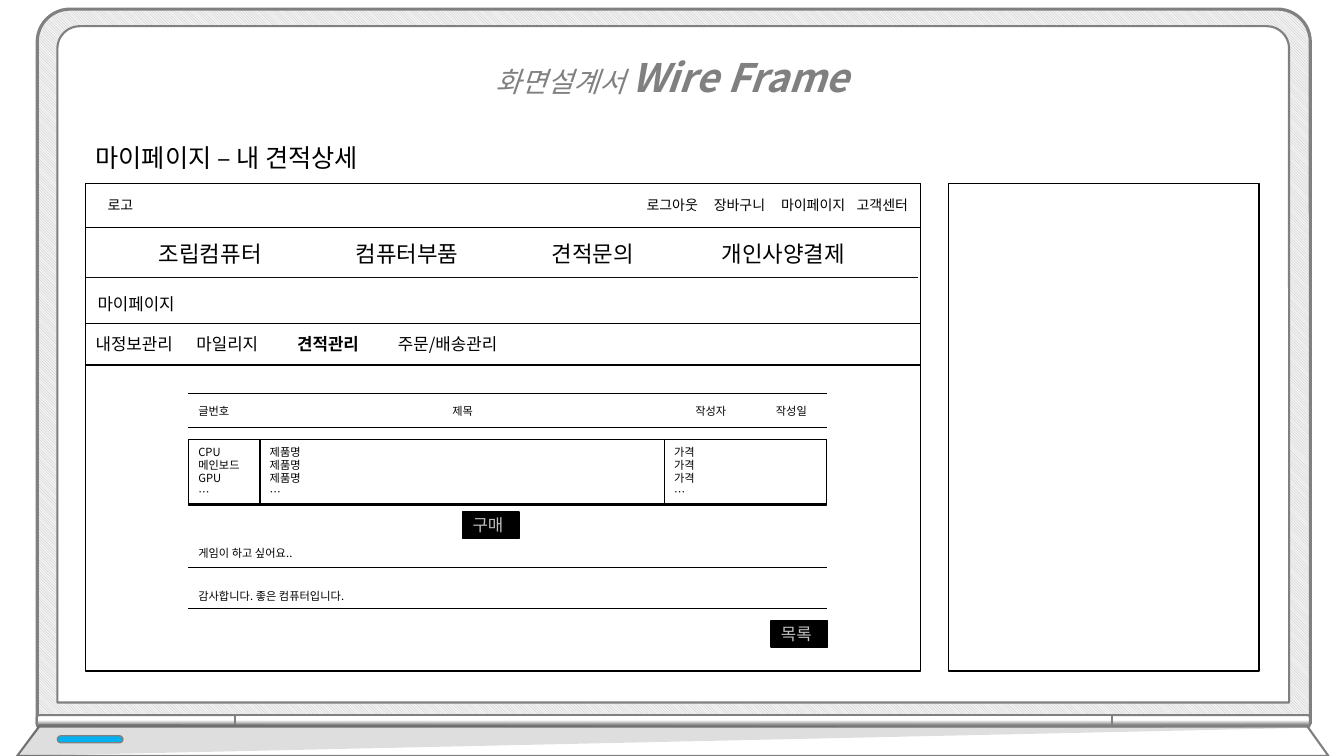
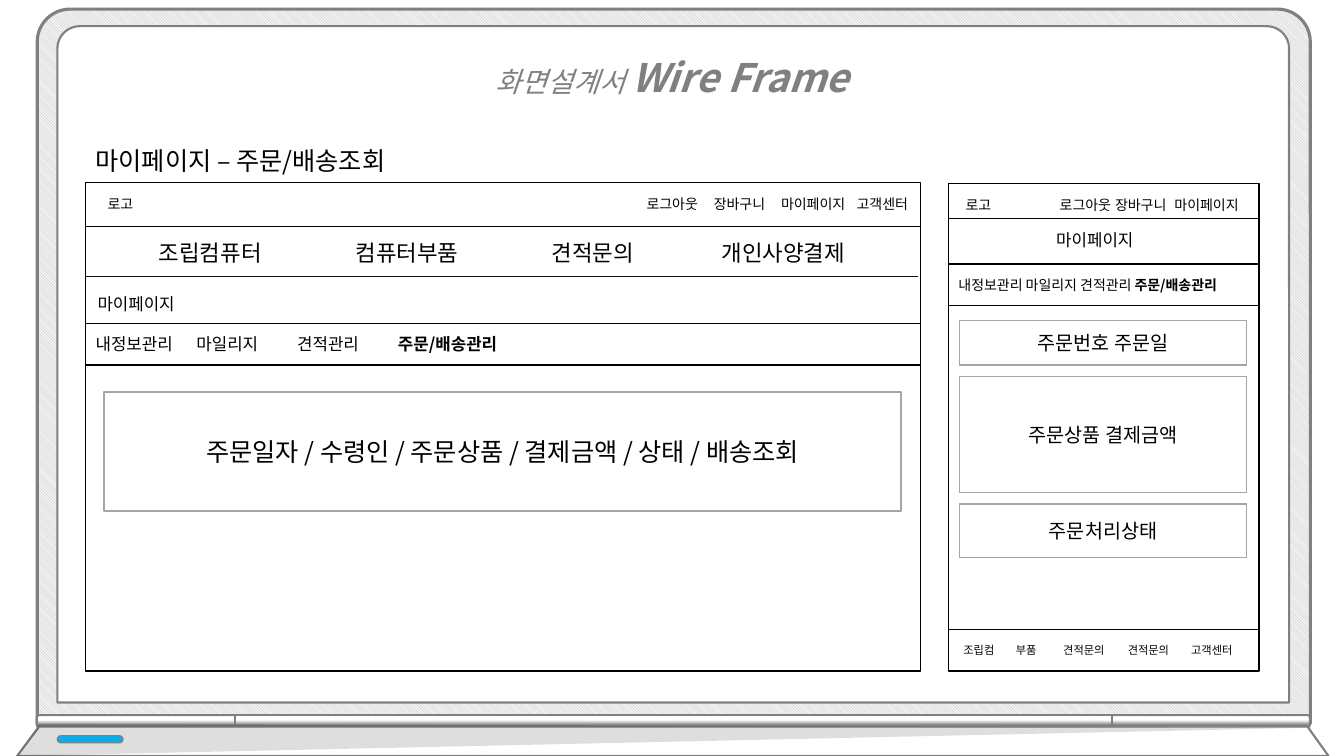
from lxml import etree
from pptx import Presentation
from pptx import util as u
from pptx.dml import color
from pptx.enum import dml, shapes, text
from pptx.oxml import ns

FONT = "Noto Sans CJK KR"
BLACK = color.RGBColor(0x00, 0x00, 0x00)
WHITE = color.RGBColor(0xFF, 0xFF, 0xFF)
GRAY = color.RGBColor(0x80, 0x80, 0x80)
SILVER = color.RGBColor(0xBF, 0xBF, 0xBF)
PALE = color.RGBColor(0xF2, 0xF2, 0xF2)
CARD_EDGE = color.RGBColor(0xA5, 0xA5, 0xA5)
RULE = color.RGBColor(0x0D, 0x0D, 0x0D)
BLUE = color.RGBColor(0x00, 0xB0, 0xF0)

KIND = shapes.MSO_SHAPE
LEFT, CENTER = text.PP_ALIGN.LEFT, text.PP_ALIGN.CENTER
DESK_LEFT, DESK_WIDTH = 61.2, 596.2
PHONE_LEFT, PHONE_WIDTH = 677.5, 221.8
PANEL_TOP, PANEL_HEIGHT = 131, 348.5
HEADER_HEIGHT, TAB_HEIGHT = 31.7, 29.5
LIST_LEFT, LIST_RIGHT = 134.6, 591
HINGE_MIDDLE, HINGE_HEIGHT = 515.1, 8.6
INSET = 7.2

TOP_MENU = [(462, "로그아웃"), (510, "장바구니"), (558, "마이페이지"), (612, "고객센터")]
MAIN_MENU = [(113.6, "조립컴퓨터"), (254.3, "컴퓨터부품"), (394.3, "견적문의"), (515.7, "개인사양결제")]
PHONE_MENU = [(757.1, "로그아웃"), (796.6, "장바구니"), (839, "마이페이지")]
PHONE_FOOTER = [(688.3, "조립컴"), (725.8, "부품"), (759.6, "견적문의"), (805.7, "견적문의"), (851, "고객센터")]
LIST_HEADS = [(141.8, "글번호"), (323.3, "제목"), (496.8, "작성자"), (554.4, "작성일")]
MY_PAGE = "마이페이지"
MY_TABS = ["내정보관리", "마일리지", "견적관리", "주문/배송관리"]


def apply(target, values):
    for name, value in values.items():
        setattr(target, name, value)


def write(box, paragraphs, size, align=LEFT, ink=BLACK, spacing=None, tabs=()):
    frame = box.text_frame
    frame.word_wrap = True
    for index, spans in enumerate(paragraphs):
        para = frame.paragraphs[0] if index == 0 else frame.add_paragraph()
        apply(para, {"alignment": align, "line_spacing": spacing})
        if tabs:
            stops = etree.SubElement(para._p.get_or_add_pPr(), ns.qn("a:tabLst"))
            for stop in tabs:
                etree.SubElement(stops, ns.qn("a:tab"), pos=str(u.Pt(stop)), algn="l")
        for content, extra in spans:
            span = para.add_run()
            span.text = content
            apply(span.font, {"name": FONT, "size": u.Pt(size), "bold": False})
            span.font.color.rgb = ink
            apply(span.font, extra)
            etree.SubElement(span._r.get_or_add_rPr(), ns.qn("a:ea"), typeface=FONT)


def paint(shape, fill, edge=None, weight=1):
    shape.shadow.inherit = False
    if fill is not None:
        shape.fill.solid()
        shape.fill.fore_color.rgb = fill
    if edge is None:
        shape.line.fill.background()
    else:
        shape.line.color.rgb = edge
        shape.line.width = u.Pt(weight)


def add_box(canvas, left, top, width, height, fill=WHITE, edge=BLACK, weight=1,
            kind=KIND.RECTANGLE, corners=()):
    box = canvas.shapes.add_shape(kind, u.Pt(left), u.Pt(top), u.Pt(width), u.Pt(height))
    for index, corner in enumerate(corners):
        box.adjustments[index] = corner
    paint(box, fill, edge, weight)
    return box


def add_filled_text(page, place, lines, size, align=LEFT, ink=BLACK, **look):
    box = add_box(page, *place, **look)
    box.text_frame.vertical_anchor = text.MSO_ANCHOR.MIDDLE
    write(box, [[(line, {})] for line in lines], size, align, ink)


def add_label(page, left, top, content, size):
    width = len(content) * size + 2 * INSET + 4
    box = page.shapes.add_textbox(u.Pt(left - INSET), u.Pt(top), u.Pt(width), u.Pt(size * 1.2 + INSET))
    write(box, [[(content, {})]], size)
    box.text_frame.auto_size = text.MSO_AUTO_SIZE.SHAPE_TO_FIT_TEXT


def add_labels(page, items, top, size):
    for left, content in items:
        add_label(page, left, top, content, size)


def add_rule(page, left, right, y, ink=BLACK):
    rule = page.shapes.add_connector(shapes.MSO_CONNECTOR.STRAIGHT, u.Pt(left), u.Pt(y), u.Pt(right), u.Pt(y))
    rule.line.color.rgb = ink
    rule.line.width = u.Pt(0.5)
    etree.SubElement(rule._element.spPr, ns.qn("a:effectLst"))


def add_tab_bar(page, left, top, width, size, active, gap, tabs=()):
    bar = add_box(page, left, top, width, TAB_HEIGHT)
    bar.text_frame.vertical_anchor = text.MSO_ANCHOR.MIDDLE
    last = MY_TABS[-1]
    spans = [(name if name == last else name + gap, {"bold": name == active}) for name in MY_TABS]
    write(bar, [spans], size, tabs=tabs)


def add_hinge(canvas, left, length, rotation, angle, corner):
    hinge = add_box(canvas, left + (length - HINGE_HEIGHT) / 2, HINGE_MIDDLE - length / 2,
                    HINGE_HEIGHT, length, None, GRAY, 1.5, KIND.ROUND_2_SAME_RECTANGLE, (corner, 0))
    hinge.rotation = rotation
    hinge.fill.gradient()
    hinge.fill.gradient_angle = angle
    for stop, (position, shade) in zip(hinge.fill.gradient_stops, [(0.17, GRAY), (0.59, WHITE)]):
        stop.position = position
        stop.color.rgb = shade


def add_outline(canvas, points, fill, edge=None):
    corners = [(u.Pt(x), u.Pt(y)) for x, y in points]
    builder = canvas.shapes.build_freeform(*corners[0])
    builder.add_line_segments(corners[1:], close=True)
    outline = builder.convert_to_shape()
    paint(outline, fill, edge, 1.5)
    return outline


def add_laptop(page):
    laptop = page.shapes.add_group_shape()
    lid = add_box(laptop, 26.6, 6.5, 909.4, 510.5, None, GRAY, 2.25,
                  KIND.ROUND_2_SAME_RECTANGLE, (0.046, 0))
    lid.fill.patterned()
    lid.fill.pattern = dml.MSO_PATTERN.LIGHT_DOWNWARD_DIAGONAL
    lid.fill.fore_color.rgb = SILVER
    lid.fill.back_color.rgb = PALE
    add_box(laptop, 41, 18.7, 879.8, 483.1, WHITE, GRAY, 1.5,
            KIND.ROUND_2_SAME_RECTANGLE, (0.033, 0))
    add_hinge(laptop, 26.3, 141.8, 270, 0, 0.193)
    add_hinge(laptop, 793.8, 141.8, 90, 180, 0.193)
    add_hinge(laptop, 167.8, 626.4, 270, 0, 0)
    add_outline(laptop, [(28, 519), (934, 519), (949, 540), (12.2, 540)], WHITE, GRAY)
    shade = add_outline(laptop, [(28, 517), (12.2, 540), (937.4, 519.8)], BLACK)
    tint = shade._element.spPr.find(".//" + ns.qn("a:srgbClr"))
    etree.SubElement(tint, ns.qn("a:alpha"), val="13000")
    add_box(laptop, 41, 525.6, 46.8, 5, BLUE, GRAY, 1, KIND.ROUNDED_RECTANGLE, (0.5,))


def add_base(deck, title, title_top, header_top, active):
    page = deck.slides.add_slide(deck.slide_layouts[6])
    add_laptop(page)
    heading = page.shapes.add_textbox(u.Pt(264.2), u.Pt(18), u.Pt(432), u.Pt(58.3))
    write(heading, [[("화면설계서 ", {"italic": True}),
                     ("Wire Frame", {"italic": True, "bold": True, "size": u.Pt(28)})]],
          20, CENTER, GRAY, 1.5)
    add_box(page, DESK_LEFT, PANEL_TOP, DESK_WIDTH, PANEL_HEIGHT)
    add_box(page, PHONE_LEFT, PANEL_TOP, PHONE_WIDTH, PANEL_HEIGHT)
    add_label(page, DESK_LEFT + INSET, title_top, title, 18)
    add_box(page, DESK_LEFT, header_top, DESK_WIDTH, HEADER_HEIGHT)
    add_labels(page, [(77, "로고")] + TOP_MENU, header_top + 5.8, 10)
    add_labels(page, MAIN_MENU, header_top + 36.8, 16)
    add_rule(page, DESK_LEFT, 656, header_top + 67, RULE)
    add_tab_bar(page, DESK_LEFT, 231.1, DESK_WIDTH, 12, active, "\t", (72, 144, 216))
    add_label(page, 69.8, 206.6, MY_PAGE, 12)
    return page


def add_quote_page(deck):
    page = add_base(deck, "마이페이지 – 내 견적상세", 98, PANEL_TOP, "견적관리")
    for y in (280.8, 305.3, 405.4, 434.9):
        add_rule(page, LIST_LEFT, LIST_RIGHT, y)
    add_labels(page, LIST_HEADS, 285.1, 8)
    add_box(page, LIST_LEFT, 313.9, 455.8, 46.8)
    left = LIST_LEFT
    for width, lines in [(51, ["CPU", "메인보드", "GPU", "…"]),
                         (288.9, ["제품명"] * 3 + ["…"]),
                         (115.9, ["가격"] * 3 + ["…"])]:
        add_filled_text(page, (left, 313.9, width, 46.1), lines, 8)
        left += width
    for top, comment in [(386.6, "게임이 하고 싶어요.."), (417.6, "감사합니다. 좋은 컴퓨터입니다.")]:
        add_label(page, LIST_LEFT + INSET, top, comment, 8)
    for left, top, name in [(550.8, 443.5, "목록"), (330.5, 365.8, "구매")]:
        add_filled_text(page, (left, top, 40.3, 18.7), [name], 12, ink=SILVER, fill=BLACK)


def add_order_page(deck):
    page = add_base(deck, "마이페이지 – 주문/배송조회", 100.2, 130.3, "주문/배송관리")
    add_filled_text(page, (74.2, 280.1, 569.5, 85),
                    ["주문일자 / 수령인 / 주문상품 / 결제금액 / 상태 / 배송조회"],
                    18, CENTER, edge=CARD_EDGE)
    add_labels(page, [(689.8, "로고")] + PHONE_MENU, 136.8, 10)
    add_rule(page, PHONE_LEFT, PHONE_LEFT + PHONE_WIDTH, 156.2)
    add_label(page, 754.6, 160.6, MY_PAGE, 12)
    add_tab_bar(page, PHONE_LEFT, 188.6, PHONE_WIDTH, 10, "주문/배송관리", " ")
    top = 229
    for height, name in [(31.7, "주문번호 주문일"), (82.8, "주문상품 결제금액"), (38.2, "주문처리상태")]:
        add_filled_text(page, (685.4, top, 205.2, height), [name], 14, CENTER, edge=CARD_EDGE)
        top += height + 8.3
    add_box(page, PHONE_LEFT, 449.5, PHONE_WIDTH, TAB_HEIGHT)
    add_labels(page, PHONE_FOOTER, 455.8, 8)


def main():
    deck = Presentation()
    deck.slide_width = u.Pt(960)
    deck.slide_height = u.Pt(540)
    add_quote_page(deck)
    add_order_page(deck)
    deck.save("out.pptx")


if __name__ == "__main__":
    main()
